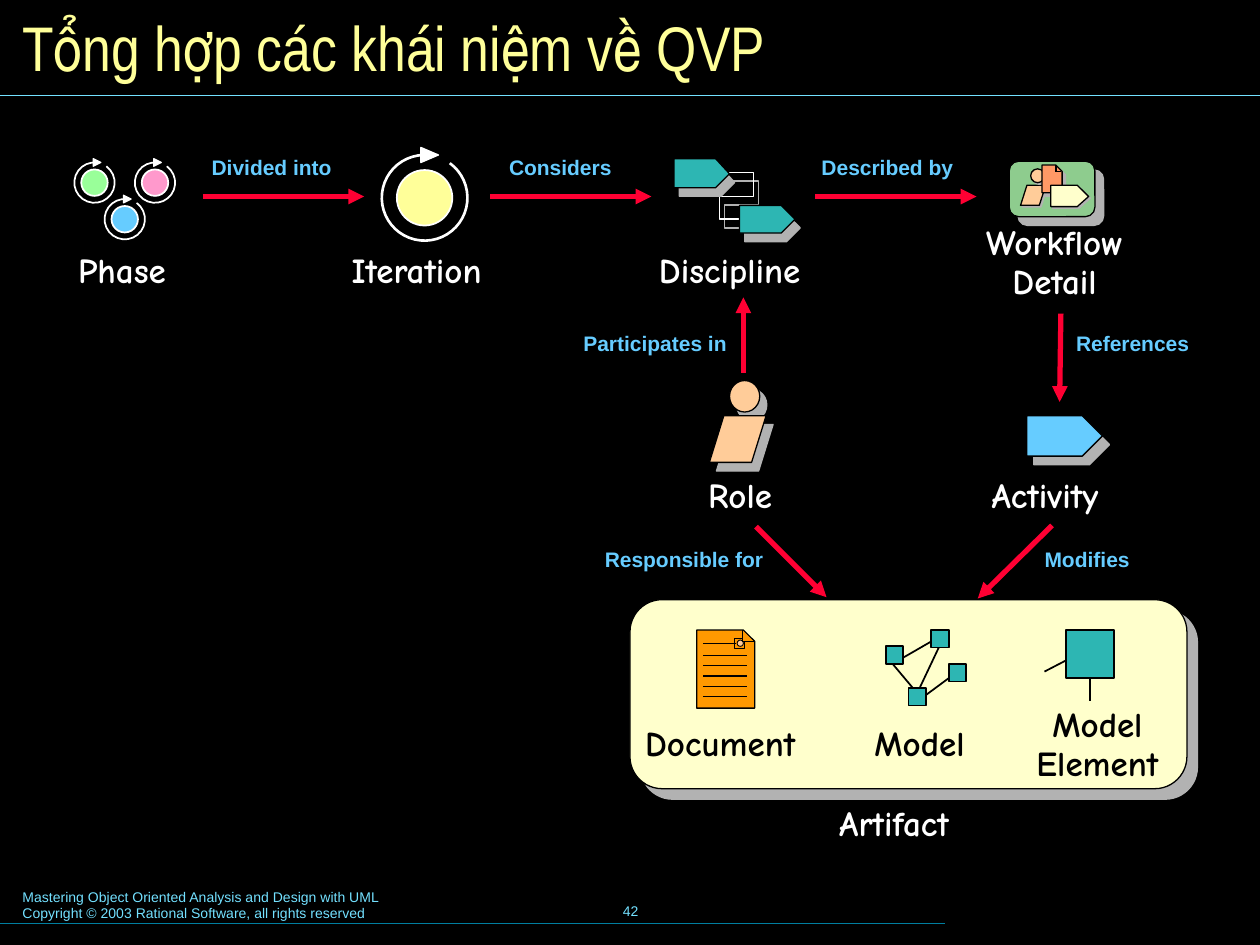
"""Build the QVP concept map on a grid of 1000 columns by 750 rows."""
from lxml.etree import SubElement as Sub
from pptx import Presentation
from pptx.dml.color import RGBColor
from pptx.enum.shapes import MSO_CONNECTOR as Link, MSO_SHAPE as Form
from pptx.enum.text import MSO_ANCHOR as Anchor, PP_ALIGN as Align
from pptx.oxml.ns import qn
from pptx.util import Pt

CELL = 9144
BLACK, WHITE, RED, SKY, CYAN = "000000", "FFFFFF", "FF0033", "66CCFF", "73E1FF"
TEAL, SKIN, CREAM, GOLD = "2DB6B3", "FFCC99", "FFFFCC", "FF9900"
rgb = RGBColor.from_string

deck = Presentation()
deck.slide_width, deck.slide_height = 1000 * CELL, 750 * CELL
slide = deck.slides.add_slide(deck.slide_layouts[6])
slide.background.fill.solid()
slide.background.fill.fore_color.rgb = rgb(BLACK)
shapes = slide.shapes


def text(words, spot, size=20, font="Comic Neue", ink=WHITE, bold=True, pad=12,
         align=Align.LEFT, anchor=Anchor.TOP, lead=None, gap=0, wrap=True):
    frame = shapes.add_textbox(*[n * CELL for n in spot]).text_frame
    frame.word_wrap, frame.vertical_anchor = wrap, anchor
    frame.margin_left = frame.margin_right = pad * CELL
    frame.margin_top = frame.margin_bottom = pad * CELL // 2
    frame.text = words
    for n, para in enumerate(frame.paragraphs):
        para.alignment, para.line_spacing = align, lead
        para.space_before = Pt(gap if n else 0)
        para.font.size, para.font.name, para.font.bold = Pt(size), font, bold
        para.font.color.rgb = rgb(ink)


def draw(kind, spot, fill, ink=BLACK, wide=0.75, cast=None, slant=45, adj=(), turn=0):
    if kind in ("loop", "path"):
        pen = shapes.build_freeform(*spot[0], scale=CELL)
        pen.add_line_segments(spot[1:], close=kind == "loop")
        shape = pen.convert_to_shape()
    else:
        shape = shapes.add_shape(kind, *[n * CELL for n in spot])
    for n, part in enumerate(adj):
        shape.adjustments[n] = part
    shape.rotation = turn
    if fill:
        shape.fill.solid()
        shape.fill.fore_color.rgb = rgb(fill)
    else:
        shape.fill.background()
    shape.line.color.rgb, shape.line.width = rgb(ink), Pt(wide)
    shape.shadow.inherit = False
    if cast:
        glow = Sub(shape._element.spPr.find(qn("a:effectLst")), qn("a:outerShdw"),
                   blurRad="0", dist=str(Pt(cast)), dir=str(slant * 60000),
                   algn="ctr", rotWithShape="0")
        Sub(glow, qn("a:srgbClr"), val="B2B2B2")
    return shape


draw(Form.ROUNDED_RECTANGLE, (500, 476, 442, 150), CREAM, cast=8.5, adj=[0.17])

draw(Form.ROUNDED_RECTANGLE, (801, 128, 68, 44), "8ECC8E", cast=7.1, adj=[0.17])
draw(Form.PARALLELOGRAM, (810, 147, 20, 16), SKIN, cast=1.4, adj=[0.32])
draw(Form.OVAL, (818, 134, 11, 11), SKIN, cast=1.4)
draw("loop", [(827, 131), (827, 153), (843, 153), (843, 136), (838, 131)], "FF9966", cast=2.8)

draw("loop", [(553, 500), (553, 562), (599, 562), (599, 509), (590, 500)], GOLD)
draw(Form.OVAL, (585, 508, 5, 5), SKIN, wide=0.5)
draw(Form.RECTANGLE, (583, 507, 8, 8), None, wide=0.5)
draw("path", [(589, 500), (589, 509), (598, 509)], GOLD)

draw("path", [(578, 137), (598, 137), (598, 156), (571, 156), (571, 174), (589, 174)],
     None, WHITE, 1, 5.8, 59)
for x, y, wide, high, tip, fill, cast, slant in [
        (834, 147, 30, 17, 9, CREAM, 1.4, 45), (815, 330, 60, 32, 16, SKY, 6.4, 51),
        (587, 163, 44, 22, 11, TEAL, 5.8, 59), (535, 126, 44, 23, 11, TEAL, 5.8, 59)]:
    neck, end, low = x + wide - tip, x + wide, y + high
    draw("loop", [(x, y), (neck, y), (end, y + high / 2), (neck, low), (x, low)],
         fill, cast=cast, slant=slant)

draw(Form.OVAL, (579, 302, 24, 25), SKIN, cast=6.4, slant=51)
draw(Form.PARALLELOGRAM, (563, 330, 45, 37), SKIN, cast=6.4, slant=51, adj=[0.31])

for x, y, ring, core, fill, wide, head in [
        (337, 157, 68, 44, "FFFF99", 1.5, (335, 116, 12, 14)),
        (75, 145, 32, 21, "99FF99", 1, (74, 126, 6, 6)),
        (123, 145, 32, 21, "FF99CC", 1, (122, 126, 6, 6)),
        (99, 174, 32, 21, SKY, 1, (98, 155, 6, 6))]:
    draw(Form.ARC, (x - ring / 2, y - ring / 2, ring, ring), None, WHITE, wide,
         adj=[153.06, 131.46], turn=50.9)
    draw(Form.ISOSCELES_TRIANGLE, head, WHITE, WHITE, turn=90)
    draw(Form.OVAL, (x - core / 2, y - core / 2, core, core), fill, WHITE, 1)

rules = [((0, 733, 750, 733), "007E9F", 0.75), ((0, 76, 1000, 76), CYAN, 0.75)]
arrows = [(161, 156, 289, 156), (389, 156, 517, 156), (647, 156, 775, 156),
          (590, 296, 590, 236), (842, 249, 841, 319),
          (600, 418, 656, 474), (835, 417, 776, 475)]
folds = [(838, 131, 838, 136), (842, 136, 837, 136), (558, 511, 584, 511)]
folds += [(558, 520 + 8.25 * n, 593, 520 + 8.25 * n) for n in range(5)]
edges = [(715, 523, 741, 508), (706, 524, 727, 549), (733, 553, 756, 536),
         (746, 512, 728, 550), (829, 533, 856, 519), (865, 556, 865, 538)]
rules += [(ends, RED, 3) for ends in arrows]
rules += [(ends, BLACK, 0.75) for ends in folds]
rules += [(ends, BLACK, 1) for ends in edges]
for ends, ink, wide in rules:
    line = shapes.add_connector(Link.STRAIGHT, *[round(n * CELL) for n in ends])
    line.line.color.rgb, line.line.width = rgb(ink), Pt(wide)
    if ink == RED:
        Sub(line.line._get_or_add_ln(), qn("a:tailEnd"), type="triangle")
    Sub(line._element.spPr, qn("a:effectLst"))

for x, y in [(703, 513), (739, 500), (721, 546), (753, 527)]:
    draw(Form.RECTANGLE, (x, y, 14, 14), TEAL, wide=1)
block = draw(Form.RECTANGLE, (846, 500, 38, 38), TEAL, wide=1)
line.end_connect(block, 2)

for words, x, y, wide, ink in [
        ("Phase", 50, 191, 100, WHITE), ("Iteration", 267, 191, 158, WHITE),
        ("Discipline", 511, 191, 158, WHITE), ("Role", 550, 370, 100, WHITE),
        ("Activity", 775, 370, 142, WHITE), ("Artifact", 654, 630, 142, WHITE),
        ("Document", 500, 567, 158, BLACK), ("Model", 682, 567, 108, BLACK)]:
    text(words, (x, y, wide, 45), ink=ink)
for words, x, y, ink in [("Workflow\nDetail", 758, 186, WHITE),
                         ("Model\nElement", 792, 569, BLACK)]:
    text(words, (x, y, 158, 56), ink=ink, align=Align.CENTER, lead=0.4, gap=12.5)
for words, x, y, wide in [
        ("Divided into", 156, 117, 133), ("Considers", 392, 117, 117),
        ("Described by", 640, 117, 133), ("Participates in", 451, 256, 158),
        ("References", 842, 256, 117), ("Responsible for", 468, 428, 167),
        ("Modifies", 817, 428, 92)]:
    text(words, (x, y, wide, 32), size=12, font="Arial", ink=SKY)

text("Tổng hợp các khái niệm về QVP", (8, 8, 984, 58), size=36, font="Arial Narrow",
     ink="FFFF99", bold=False, pad=10, anchor=Anchor.MIDDLE)
text("Mastering Object Oriented Analysis and Design with UML\n"
     "Copyright © 2003 Rational Software, all rights reserved",
     (8, 700, 510, 37), size=8, font="Arial", ink=CYAN, bold=False, pad=10)
text("42", (342, 698, 317, 50), size=8, font="Arial", ink=CYAN, bold=False, pad=10,
     align=Align.CENTER, anchor=Anchor.MIDDLE, wrap=False)

deck.save("out.pptx")
